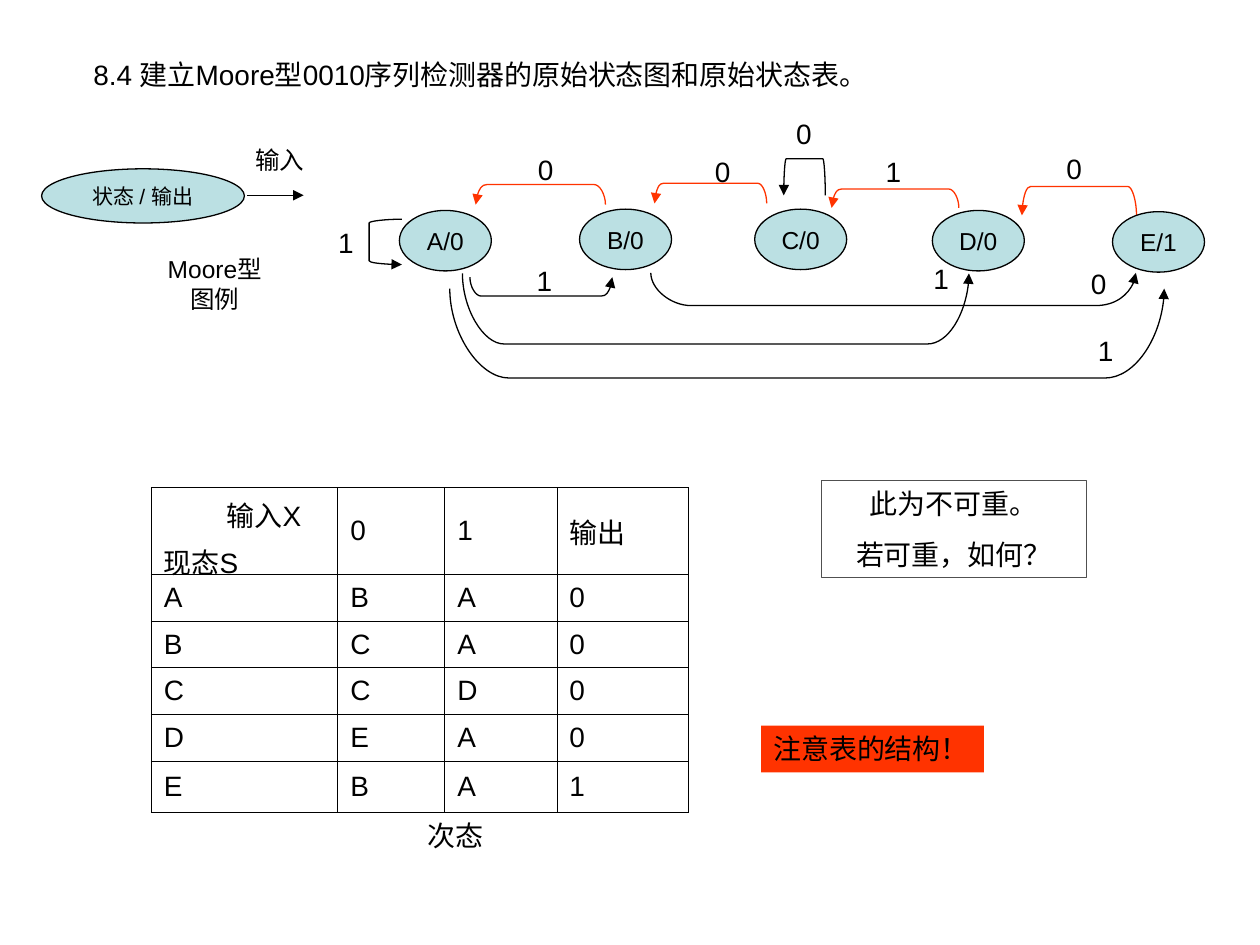
from lxml.etree import SubElement
from pptx import Presentation
from pptx.dml.color import RGBColor
from pptx.enum.shapes import MSO_CONNECTOR, MSO_SHAPE
from pptx.enum.text import MSO_ANCHOR, MSO_AUTO_SIZE, PP_ALIGN
from pptx.oxml.ns import qn
from pptx.util import Inches, Pt

BLACK = RGBColor(0x00, 0x00, 0x00)
GREY = RGBColor(0x50, 0x50, 0x50)
RED = RGBColor(0xFF, 0x33, 0x00)
TEAL = RGBColor(0xBB, 0xE0, 0xE3)
FONT = "Arial"
LINE_WIDTH = Pt(0.75)


def write(text_frame, lines, size=16, align=PP_ALIGN.CENTER, gap=10):
    text_frame.word_wrap = True
    text_frame.text = "\n".join(lines)
    for index, paragraph in enumerate(text_frame.paragraphs):
        paragraph.alignment = align
        paragraph.space_before = Pt(gap if index else 0)
        paragraph.font.name = FONT
        paragraph.font.size = Pt(size)
        paragraph.font.color.rgb = BLACK


def add_label(shapes, left, top, width, height, text, size=16):
    box = shapes.add_textbox(Inches(left), Inches(top), Inches(width), Inches(height))
    write(box.text_frame, [text], size)


def add_box(shapes, kind, left, top, width, height, fill=None, line=None):
    shape = shapes.add_shape(kind, Inches(left), Inches(top), Inches(width), Inches(height))
    shape.shadow.inherit = False
    if fill is None:
        shape.fill.background()
    else:
        shape.fill.solid()
        shape.fill.fore_color.rgb = fill
    if line is None:
        shape.line.fill.background()
    else:
        shape.line.color.rgb = line
        shape.line.width = LINE_WIDTH
    return shape


def add_oval(shapes, left, top, width, height, text, size):
    oval = add_box(shapes, MSO_SHAPE.OVAL, left, top, width, height, TEAL, BLACK)
    write(oval.text_frame, [text], size)
    oval.text_frame.word_wrap = False
    oval.text_frame.vertical_anchor = MSO_ANCHOR.MIDDLE


def style_arrow(shape, color):
    shape.line.color.rgb = color
    shape.line.width = LINE_WIDTH
    line = shape._element.spPr.find(qn("a:ln"))
    SubElement(line, qn("a:tailEnd"), type="triangle")


def bend(segment, *controls):
    """Turn a straight outline segment into a curve with two control points."""
    segment.tag = qn("a:cubicBezTo")
    for index, (x, y) in enumerate(controls):
        point = SubElement(segment, qn("a:pt"), x=str(Inches(x)), y=str(Inches(y)))
        segment.insert(index, point)


def add_bracket_arrow(shapes, left, top, width, height, corner, rotation, color):
    """Bracket open to the right before rotation, with its arrowhead at the lower end."""
    points = [(0, corner), (0, height - corner), (width, height)]
    builder = shapes.build_freeform(Inches(left + width), Inches(top))
    builder.add_line_segments([(Inches(left + x), Inches(top + y)) for x, y in points],
                              close=False)
    bracket = builder.convert_to_shape()
    upper, _, lower = bracket._element.spPr.findall(".//" + qn("a:lnTo"))
    bend(upper, (width / 2, 0), (0, corner / 2))
    bend(lower, (0, height - corner / 2), (width / 2, height))
    bracket.shadow.inherit = False
    bracket.fill.background()
    bracket.rotation = rotation
    style_arrow(bracket, color)


def add_heading(slide, left, top, width, height):
    title = slide.shapes.title
    title.left, title.top = Inches(left), Inches(top)
    title.width, title.height = Inches(width), Inches(height)
    write(title.text_frame, ["8.4 建立Moore型0010序列检测器的原始状态图和原始状态表。"],
          align=PP_ALIGN.LEFT)
    title.text_frame.auto_size = MSO_AUTO_SIZE.NONE
    title.text_frame.vertical_anchor = MSO_ANCHOR.TOP


def add_legend(slide, left, top):
    shapes = slide.shapes.add_group_shape().shapes
    add_oval(shapes, left, top + 0.24, 1.61, 0.43, "状态 / 输出", 12)
    arrow = shapes.add_connector(MSO_CONNECTOR.STRAIGHT, Inches(left + 1.63), Inches(top + 0.45),
                                 Inches(left + 2.08), Inches(top + 0.45))
    style_arrow(arrow, BLACK)
    SubElement(arrow._element.spPr, qn("a:effectLst"))
    add_label(shapes, left + 1.52, top, 0.74, 0.34, "输入", 14)
    add_label(shapes, left + 0.89, top + 0.87, 0.97, 0.57, "Moore型图例", 14)


def add_state_diagram(slide, left, top):
    shapes = slide.shapes.add_group_shape().shapes
    # Transitions: left, top, width, height, corner, rotation, color
    for x, y, *form in (
        (3.01, 0.21, 0.16, 0.89, 0.07, 90, RED),
        (1.66, 0.15, 0.16, 1.03, 0.09, 90, RED),
        (4.48, 0.19, 0.15, 1.01, 0.08, 90, RED),
        (5.90, 0.26, 0.23, 0.91, 0.07, 90, RED),
        (3.69, 0.36, 0.29, 0.33, 0.02, 90, BLACK),
        (0.38, 0.86, 0.26, 0.36, 0.03, 0, BLACK),
        (1.67, 0.83, 0.15, 1.13, 0.09, 270, BLACK),
        (4.41, -0.51, 0.26, 3.85, 0.32, 270, BLACK),
        (2.85, -0.44, 0.56, 4.02, 0.33, 270, BLACK),
        (3.50, -1.07, 0.71, 5.67, 0.47, 270, BLACK),
    ):
        add_bracket_arrow(shapes, left + x, top + y, *form)
    # States
    for x, y, text in ((0.62, 0.79, "A/0"), (2.05, 0.78, "B/0"), (3.44, 0.78, "C/0"),
                       (4.85, 0.79, "D/0"), (6.28, 0.80, "E/1")):
        add_oval(shapes, left + x, top + y, 0.73, 0.48, text, 14)
    # Input values
    for x, y, width, text in (
        (2.98, 0.30, 0.41, "0"), (1.61, 0.28, 0.34, "0"), (4.21, 0.30, 0.66, "1"),
        (5.81, 0.27, 0.33, "0"), (3.63, 0, 0.40, "0"), (-0.03, 0.86, 0.45, "1"),
        (1.60, 1.16, 0.34, "1"), (5.98, 1.19, 0.38, "0"), (4.72, 1.15, 0.40, "1"),
        (6.04, 1.72, 0.37, "1"),
    ):
        add_label(shapes, left + x, top + y, width, 0.37, text)


def set_borders(cell):
    properties = cell._tc.get_or_add_tcPr()
    for position, side in enumerate(("a:lnL", "a:lnR", "a:lnT", "a:lnB")):
        border = SubElement(properties, qn(side), w=str(Pt(0.45)))
        fill = SubElement(border, qn("a:solidFill"))
        SubElement(fill, qn("a:srgbClr"), val=str(BLACK))
        properties.insert(position, border)


def add_state_table(slide, left, top):
    rows = [("输入X\n现态S", "0", "1", "输出"), *("ABA0", "BCA0", "CCD0", "DEA0", "EBA1")]
    widths = (1.48, 0.85, 0.89, 1.04)
    heights = (0.69, 0.37, 0.37, 0.37, 0.37, 0.41)
    table = slide.shapes.add_table(len(rows), len(widths), Inches(left), Inches(top),
                                   Inches(sum(widths)), Inches(sum(heights))).table
    table.first_row = table.horz_banding = False
    for column, width in zip(table.columns, widths):
        column.width = Inches(width)
    for row, height, texts in zip(table.rows, heights, rows):
        row.height = Inches(height)
        for cell, text in zip(row.cells, texts):
            write(cell.text_frame, text.split("\n"), align=PP_ALIGN.LEFT, gap=4)
            cell.vertical_anchor = MSO_ANCHOR.MIDDLE
            cell.fill.background()
            set_borders(cell)
    # The input heading stands to the right of the state heading
    input_heading = table.cell(0, 0).text_frame.paragraphs[0]
    input_heading._p.get_or_add_pPr().set("marL", str(Inches(0.5)))
    add_label(slide.shapes, left + 1.84, top + sum(heights), 1.15, 0.37, "次态")


def add_notes(slide, left, top):
    question = add_box(slide.shapes, MSO_SHAPE.RECTANGLE, left + 0.48, top, 2.1, 0.77, line=GREY)
    question.line.width = Pt(0.25)
    write(question.text_frame, ["此为不可重。", "若可重，如何？"])
    warning = add_box(slide.shapes, MSO_SHAPE.RECTANGLE, left, top + 1.95, 1.77, 0.37, fill=RED)
    write(warning.text_frame, ["注意表的结构！"], align=PP_ALIGN.LEFT)
    for shape in (question, warning):
        shape.text_frame.vertical_anchor = MSO_ANCHOR.TOP


def main():
    presentation = Presentation()
    presentation.slide_width, presentation.slide_height = Inches(10), Inches(7.5)
    slide = presentation.slides.add_slide(presentation.slide_layouts[5])
    add_heading(slide, 0.64, 0.41, 7.6, 0.37)
    add_legend(slide, 0.33, 1.1)
    add_state_diagram(slide, 2.55, 0.88)
    add_state_table(slide, 1.2, 3.87)
    add_notes(slide, 6.04, 3.81)
    presentation.save("out.pptx")


if __name__ == "__main__":
    main()
